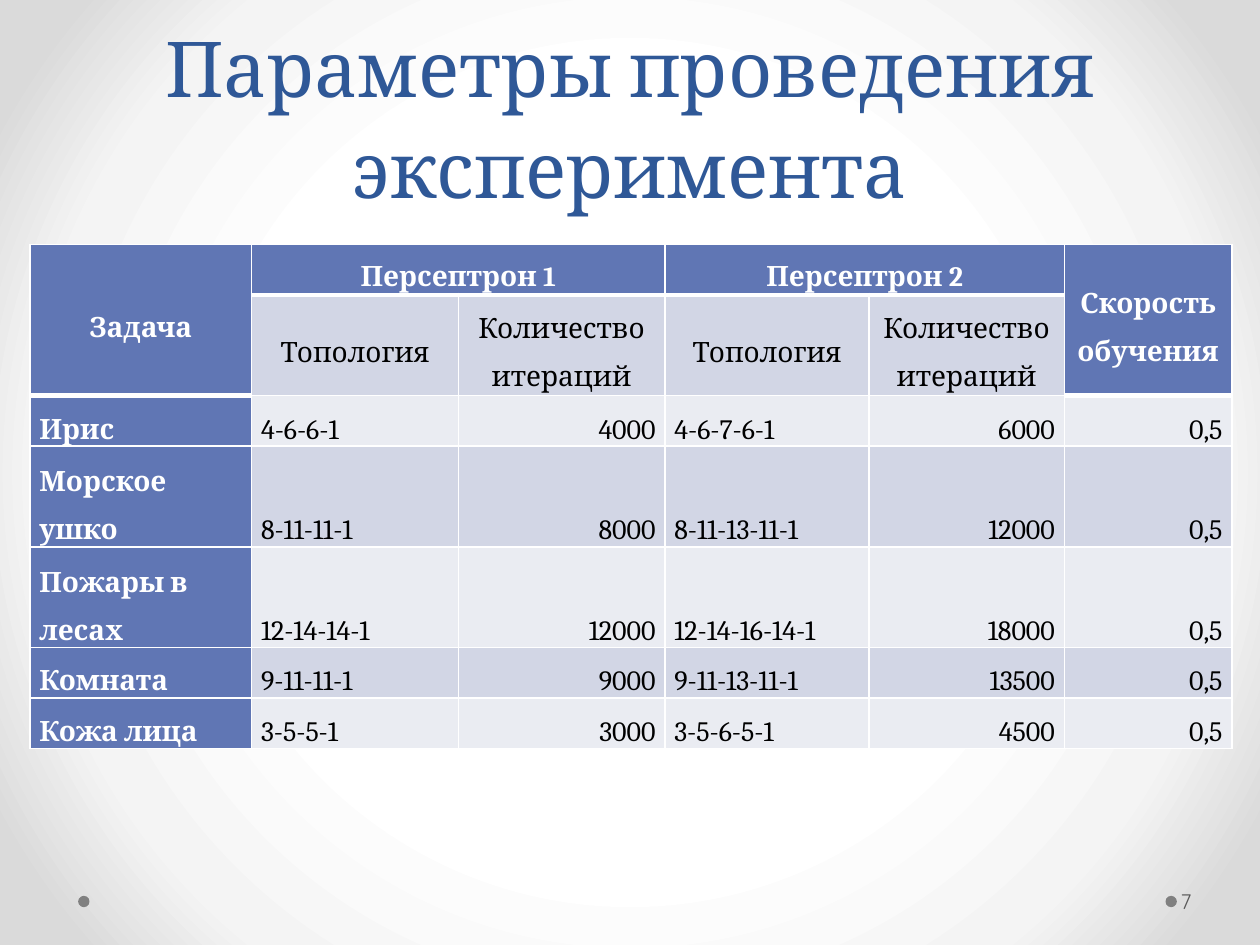
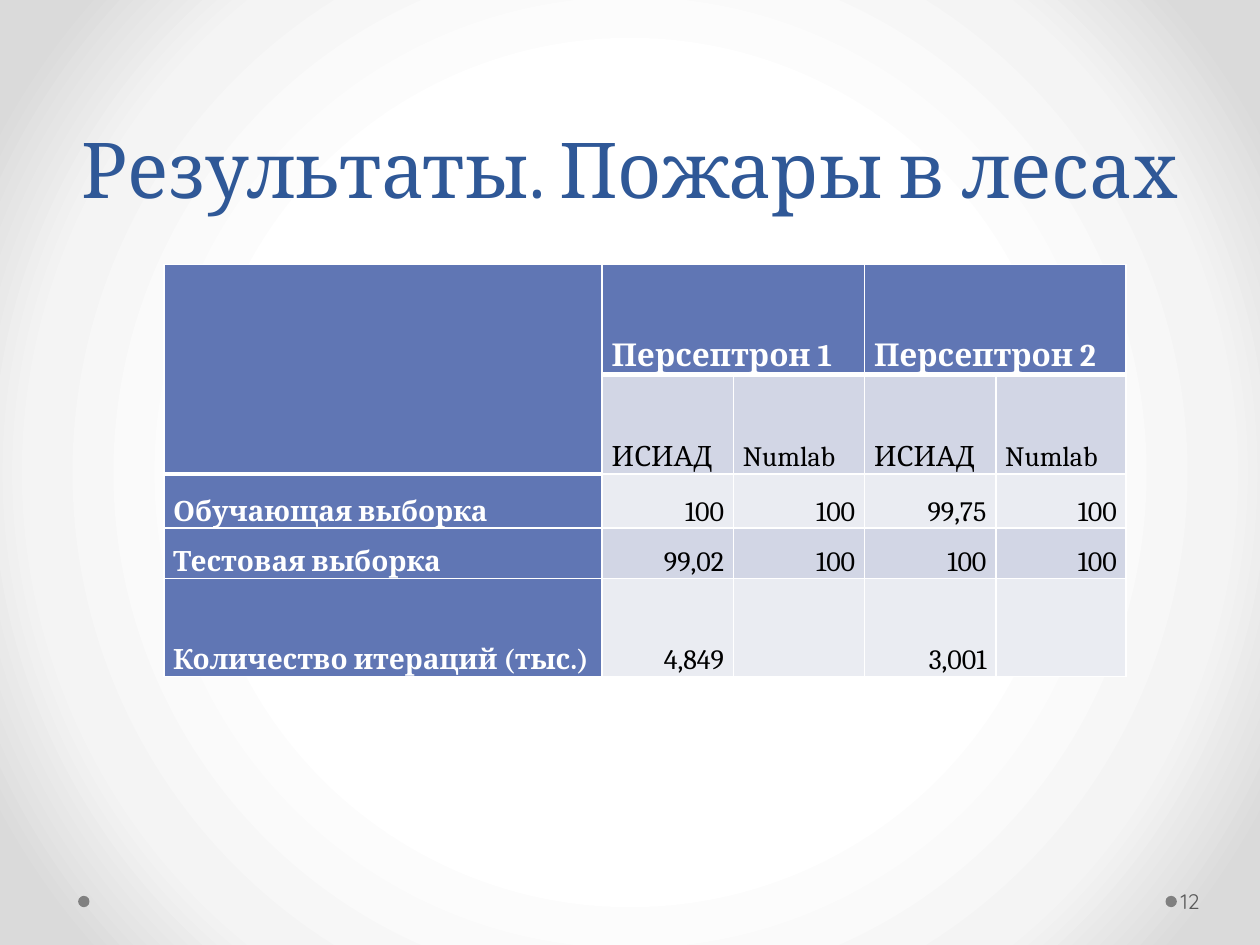
from lxml import etree
from pptx import Presentation
from pptx.dml.color import RGBColor
from pptx.enum import shapes, text
from pptx.oxml import ns
from pptx.util import Pt

TITLE_BLUE = RGBColor(0x2F, 0x58, 0x97)
HEAD_BLUE = RGBColor(0x60, 0x76, 0xB4)
BAND_DARK = RGBColor(0xD2, 0xD6, 0xE5)
BAND_LIGHT = RGBColor(0xEA, 0xEC, 0xF2)
WHITE = RGBColor(0xFF, 0xFF, 0xFF)
BLACK = RGBColor(0, 0, 0)
DOT_GRAY = RGBColor(0x80, 0x80, 0x80)
NUMBER_GRAY = RGBColor(0x59, 0x59, 0x59)
BACKGROUND_STOPS = [(50, WHITE), (76, RGBColor(0xF4, 0xF4, 0xF4)),
                    (92, RGBColor(0xDA, 0xDA, 0xDA))]

SERIF = "Cambria"
SANS = "Quicksand"
ALIGN = text.PP_ALIGN
ANCHOR = text.MSO_ANCHOR


def sub(parent, tag, **attrs):
    return etree.SubElement(parent, ns.qn(tag), attrs)


def set_all(target, values):
    for name, value in values.items():
        setattr(target, name, value)


class Deck:
    """Shared style and the slide being filled."""

    def __init__(self):
        self.prs = Presentation()
        set_all(self.prs, dict(slide_width=Pt(720), slide_height=Pt(540)))
        self.s = None
        self.background()

    def background(self):
        """Give the master a white centre that darkens towards the corners."""
        bg = self.prs.slide_master.background
        bg.fill.gradient()
        grad = next(bg._cSld.iter(ns.qn("a:gradFill")))
        for child in list(grad):
            grad.remove(child)
        stops = sub(grad, "a:gsLst")
        for pos, color in BACKGROUND_STOPS:
            stop = sub(stops, "a:gs", pos=str(pos * 1000))
            sub(stop, "a:srgbClr", val=str(color))
        circle = sub(grad, "a:path")
        circle.set("path", "circle")
        sub(circle, "a:fillToRect", **dict.fromkeys("ltrb", "50000"))

    def slide(self, title, number):
        self.s = self.prs.slides.add_slide(self.prs.slide_layouts[5])
        for left in (44.64, 666):
            self.dot(left, 511.9)
        self.title(title)
        self.number(number)

    def put_text(self, tf, content, color, size, font=SERIF, bold=False, **para):
        p = tf.paragraphs[0]
        set_all(p, para)
        r = p.add_run()
        r.text = content
        set_all(r.font, dict(name=font, size=Pt(size), bold=bold))
        r.font.color.rgb = color

    def dot(self, left, top):
        sp = self.s.shapes.add_shape(shapes.MSO_SHAPE.OVAL, Pt(left), Pt(top),
                                     Pt(6.5), Pt(6.5))
        sp.shadow.inherit = False
        sp.fill.solid()
        sp.fill.fore_color.rgb = DOT_GRAY
        sp.line.fill.background()

    def title(self, content):
        sp = self.s.shapes.title
        set_all(sp, dict(left=Pt(36), top=Pt(0), width=Pt(648), height=Pt(126)))
        set_all(sp.text_frame, dict(vertical_anchor=ANCHOR.BOTTOM, word_wrap=True,
                                    auto_size=text.MSO_AUTO_SIZE.NONE))
        self.put_text(sp.text_frame, content, TITLE_BLUE, 44,
                      alignment=ALIGN.CENTER, line_spacing=Pt(58))

    def number(self, content):
        tf = self.s.shapes.add_textbox(Pt(672.5), Pt(500.4), Pt(44), Pt(28.8)).text_frame
        set_all(tf, dict(word_wrap=True, vertical_anchor=ANCHOR.MIDDLE,
                         margin_left=Pt(2.16), margin_right=Pt(3.6)))
        self.put_text(tf, content, NUMBER_GRAY, 12, SANS)

    def borders(self, cell, **widths):
        """Draw white edges; widths are given by side: L, R, T, B."""
        tc_pr = cell._tc.get_or_add_tcPr()
        for side, width in widths.items():
            ln = sub(tc_pr, "a:ln" + side, w=str(Pt(width)))
            sub(sub(ln, "a:solidFill"), "a:srgbClr", val=str(WHITE))

    def table(self, left, top, widths, heights, rows, merges, head_size=16,
              head_align=ALIGN.LEFT, head_anchor=ANCHOR.BOTTOM):
        """Fill a table with two heading rows and a heading column."""
        tbl = self.s.shapes.add_table(len(rows), len(widths), Pt(left), Pt(top),
                                      Pt(sum(widths)), Pt(sum(heights))).table
        for col, width in zip(tbl.columns, widths):
            col.width = Pt(width)
        for row, height in zip(tbl.rows, heights):
            row.height = Pt(height)
        for first, last in merges:
            tbl.cell(*first).merge(tbl.cell(*last))
        for i, row in enumerate(rows):
            for j, content in enumerate(row):
                cell = tbl.cell(i, j)
                in_top = i == 0 or (i == 1 and cell.is_spanned)
                is_head = in_top or j == 0
                self.borders(cell, L=1, R=1,
                             T=3 if i == 1 or (i == 2 and tbl.cell(1, j).is_spanned) else 1,
                             B=3 if in_top else 1)
                cell.fill.solid()
                cell.fill.fore_color.rgb = (HEAD_BLUE if is_head else
                                            BAND_DARK if i % 2 else BAND_LIGHT)
                set_all(cell, dict(margin_left=Pt(5.4), margin_right=Pt(5.4),
                                   margin_top=0, margin_bottom=0,
                                   vertical_anchor=head_anchor if i < 2 else ANCHOR.BOTTOM))
                if not content:
                    continue
                is_value = content.replace(",", "").isdigit()
                align = (head_align if i < 2 else
                         ALIGN.RIGHT if is_value else ALIGN.LEFT)
                self.put_text(cell.text_frame, content, WHITE if is_head else BLACK,
                              head_size if i == 0 else 16, bold=is_head,
                              alignment=align, line_spacing=1.5)


def parameters_slide(deck):
    deck.slide("Параметры проведения эксперимента", "7")
    perceptron_columns = ["Топология", "Количество итераций"]
    tasks = [
        ["Ирис", "4-6-6-1", "4000", "4-6-7-6-1", "6000"],
        ["Морское ушко", "8-11-11-1", "8000", "8-11-13-11-1", "12000"],
        ["Пожары в лесах", "12-14-14-1", "12000", "12-14-16-14-1", "18000"],
        ["Комната", "9-11-11-1", "9000", "9-11-13-11-1", "13500"],
        ["Кожа лица", "3-5-5-1", "3000", "3-5-6-5-1", "4500"],
    ]
    rows = [["Задача", "Персептрон 1", None, "Персептрон 2", None, "Скорость обучения"],
            [None, *perceptron_columns * 2, None]]
    rows += [task + ["0,5"] for task in tasks]
    one_line, two_lines = 27.5, 55
    deck.table(17.1, 139.7, [126.7, 118.1, 118.1, 116.6, 111.6, 95.8],
               [one_line, two_lines, one_line, two_lines, two_lines, one_line, one_line],
               rows,
               [((0, 0), (1, 0)), ((0, 1), (0, 2)), ((0, 3), (0, 4)), ((0, 5), (1, 5))],
               head_align=ALIGN.CENTER, head_anchor=ANCHOR.MIDDLE)


def forest_fires_slide(deck):
    deck.slide("Результаты. Пожары в лесах", "12")
    systems = ["ИСИАД", "Numlab"]
    rows = [
        [None, "Персептрон 1", None, "Персептрон 2", None],
        [None, *systems * 2],
        ["Обучающая выборка", "100", "100", "99,75", "100"],
        ["Тестовая выборка", "99,02", "100", "100", "100"],
        ["Количество итераций (тыс.)", "4,849", None, "3,001", None],
    ]
    deck.table(93.6, 151.2, [250.5, 75, 75, 75, 74.5], [62.7, 56.9, 31, 28, 56], rows,
               [((0, 0), (1, 0)), ((0, 1), (0, 2)), ((0, 3), (0, 4))], head_size=18)


def main():
    deck = Deck()
    parameters_slide(deck)
    forest_fires_slide(deck)
    deck.prs.save("out.pptx")


if __name__ == "__main__":
    main()
